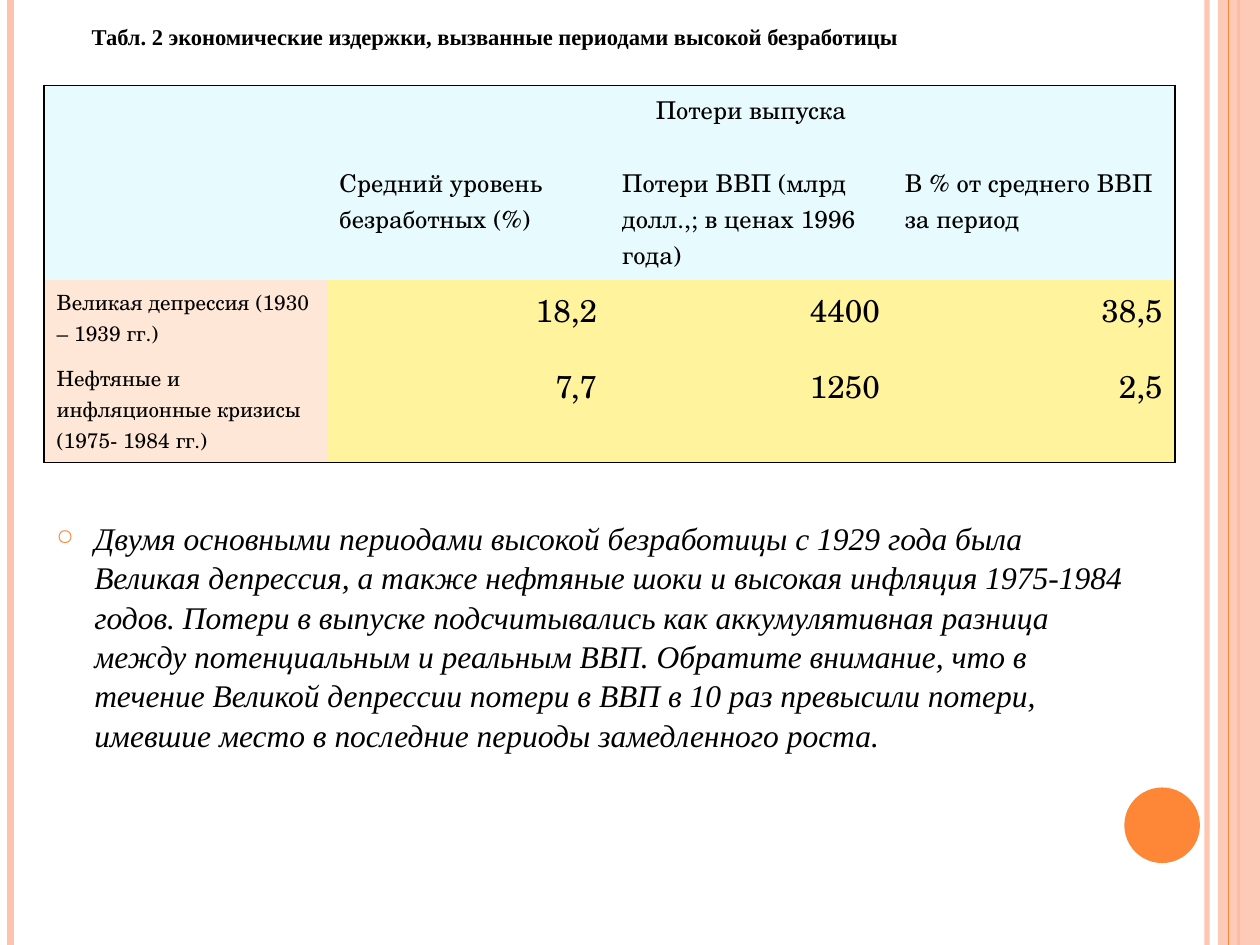
from lxml import etree
from pptx import Presentation
from pptx.dml.color import RGBColor
from pptx.enum.shapes import MSO_CONNECTOR, MSO_SHAPE
from pptx.enum.text import PP_ALIGN
from pptx.oxml.ns import qn
from pptx.util import Pt

STRAIGHT = MSO_CONNECTOR.STRAIGHT
RECT, OVAL = MSO_SHAPE.RECTANGLE, MSO_SHAPE.OVAL
LEFT, CENTER, RIGHT = PP_ALIGN.LEFT, PP_ALIGN.CENTER, PP_ALIGN.RIGHT

THEME = {
    "black": "000000", "orange": "FE8637", "peach": "FEC3AE",
    "header": "E7FAFD", "label": "FFE7D7", "value": "FFF39D",
    "serif": "Times New Roman", "table_font": "TeX Gyre Schola",
    "title": 12.9, "body": 18, "head": 14, "row_label": 12, "number": 18,
}
W, H = 720, 540


def rgb(name):
    return RGBColor.from_string(THEME[name])


def style(p, font, size, bold=False, italic=False):
    for r in p.runs:
        r.font.name, r.font.size = THEME[font], Pt(THEME[size])
        r.font.bold, r.font.italic = bold, italic
        r.font.color.rgb = rgb("black")


prs = Presentation()
prs.slide_width, prs.slide_height = Pt(W), Pt(H)
s = prs.slides.add_slide(prs.slide_layouts[6])
shapes = s.shapes

# Side stripes and panel, back to front: kind, x, width, colour, opacity in %
for kind, x, width, colour, opacity in [
    ("line", 689.8, 3, "peach", 93),
    ("line", 6, 4.5, "peach", 100),
    ("line", 707.8, 1.5, "orange", 100),
    ("panel", 696, 24, "peach", 87),
    ("line", 702, 0.75, "orange", 100),
]:
    if kind == "line":
        sp = shapes.add_connector(STRAIGHT, Pt(x), 0, Pt(x), Pt(H))
        sp.line.width = Pt(width)
        sp.line.color.rgb = rgb(colour)
        etree.SubElement(sp._element.spPr, qn("a:effectLst"))
    else:
        sp = shapes.add_shape(RECT, Pt(x), 0, Pt(width), Pt(H))
        sp.shadow.inherit = False
        sp.fill.solid()
        sp.fill.fore_color.rgb = rgb(colour)
        sp.line.fill.background()
    if opacity < 100:
        clr = next(sp._element.spPr.iter(qn("a:srgbClr")))
        etree.SubElement(clr, qn("a:alpha"), val=str(opacity * 1000))

dot = shapes.add_shape(OVAL, Pt(642.5), Pt(450), Pt(43.2), Pt(43.2))
dot.shadow.inherit = False
dot.fill.solid()
dot.fill.fore_color.rgb = rgb("orange")
dot.line.fill.background()

# Text boxes: box, text, size, bold, italic, space before, margin, indent, bullet
BODY = (
    "Двумя основными периодами высокой безработицы с 1929 года была Великая "
    "депрессия, а также нефтяные шоки и высокая инфляция 1975-1984 годов. "
    "Потери в выпуске подсчитывались как аккумулятивная разница между "
    "потенциальным и реальным ВВП. Обратите внимание, что в течение Великой "
    "депрессии потери в ВВП в 10 раз превысили потери, имевшие место в "
    "последние периоды замедленного роста."
)
TITLE = "Табл. 2 экономические издержки, вызванные периодами высокой безработицы"
for box, text, size, bold, italic, before, margin, indent, bullet in [
    ((25.2, 292.3, 629.3, 307.4), BODY, "body", False, True, 6, 21.6, -21.6, "○"),
    ((36.7, 9.4, 516.2, 33.8), TITLE, "title", True, False, 4, 28.8, -20.2, None),
]:
    tf = shapes.add_textbox(*map(Pt, box)).text_frame
    tf.word_wrap = True
    p = tf.paragraphs[0]
    p.text = text
    p.space_before = Pt(before)
    style(p, "serif", size, bold, italic)
    pPr = p._p.get_or_add_pPr()
    pPr.set("marL", str(Pt(margin)))
    pPr.set("indent", str(Pt(indent)))
    if bullet:
        p.line_spacing = 1.04
        clr = etree.SubElement(pPr, qn("a:buClr"))
        etree.SubElement(clr, qn("a:srgbClr"), val=THEME["orange"])
        etree.SubElement(pPr, qn("a:buSzPct"), val="70000")
        etree.SubElement(pPr, qn("a:buChar"), char=bullet)

# Table
ROWS = [
    ["", "Потери выпуска", "", ""],
    ["", "Средний уровень безработных (%)",
     "Потери ВВП (млрд долл.,; в ценах 1996 года)", "В % от среднего ВВП за период"],
    ["Великая депрессия (1930 – 1939 гг.)", "18,2", "4400", "38,5"],
    ["Нефтяные и инфляционные кризисы (1975- 1984 гг.)", "7,7", "1250", "2,5"],
]
HEIGHTS = [41.8, 69.6, 43.4, 60.8]
COL = 161.6
last_row, last_col = len(ROWS) - 1, len(ROWS[0]) - 1
table = shapes.add_table(len(ROWS), len(ROWS[0]), Pt(25.2), Pt(48.8),
                         Pt(COL * len(ROWS[0])), Pt(sum(HEIGHTS))).table
table.first_row = table.horz_banding = False
for column in table.columns:
    column.width = Pt(COL)
table.cell(0, 1).merge(table.cell(0, last_col))

for i, (texts, height) in enumerate(zip(ROWS, HEIGHTS)):
    table.rows[i].height = Pt(height)
    for j, text in enumerate(texts):
        cell = table.cell(i, j)
        if i < 2:
            fill, size, align = "header", "head", CENTER if i == 0 else LEFT
        elif j == 0:
            fill, size, align = "label", "row_label", LEFT
        else:
            fill, size, align = "value", "number", RIGHT
        if text:
            p = cell.text_frame.paragraphs[0]
            p.text = text
            p.alignment = align
            style(p, "table_font", size)
        # Only the outer frame of the table is drawn
        tcPr = cell._tc.get_or_add_tcPr()
        for side, outer in [("L", j == 0), ("R", j == last_col or cell.is_merge_origin),
                            ("T", i == 0), ("B", i == last_row)]:
            ln = etree.SubElement(tcPr, qn("a:ln" + side), w=str(Pt(1)))
            if outer:
                solid = etree.SubElement(ln, qn("a:solidFill"))
                etree.SubElement(solid, qn("a:srgbClr"), val=THEME["black"])
            else:
                etree.SubElement(ln, qn("a:noFill"))
        cell.fill.solid()
        cell.fill.fore_color.rgb = rgb(fill)

prs.save("out.pptx")
